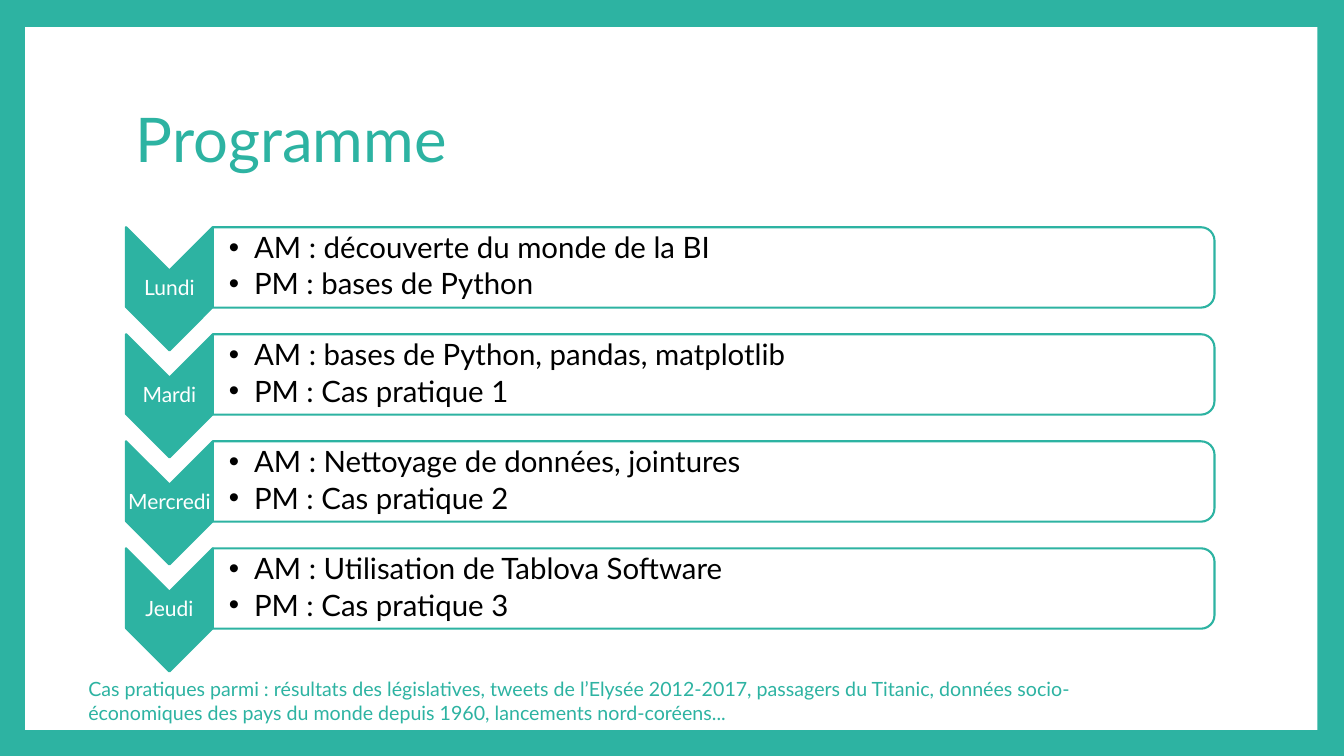
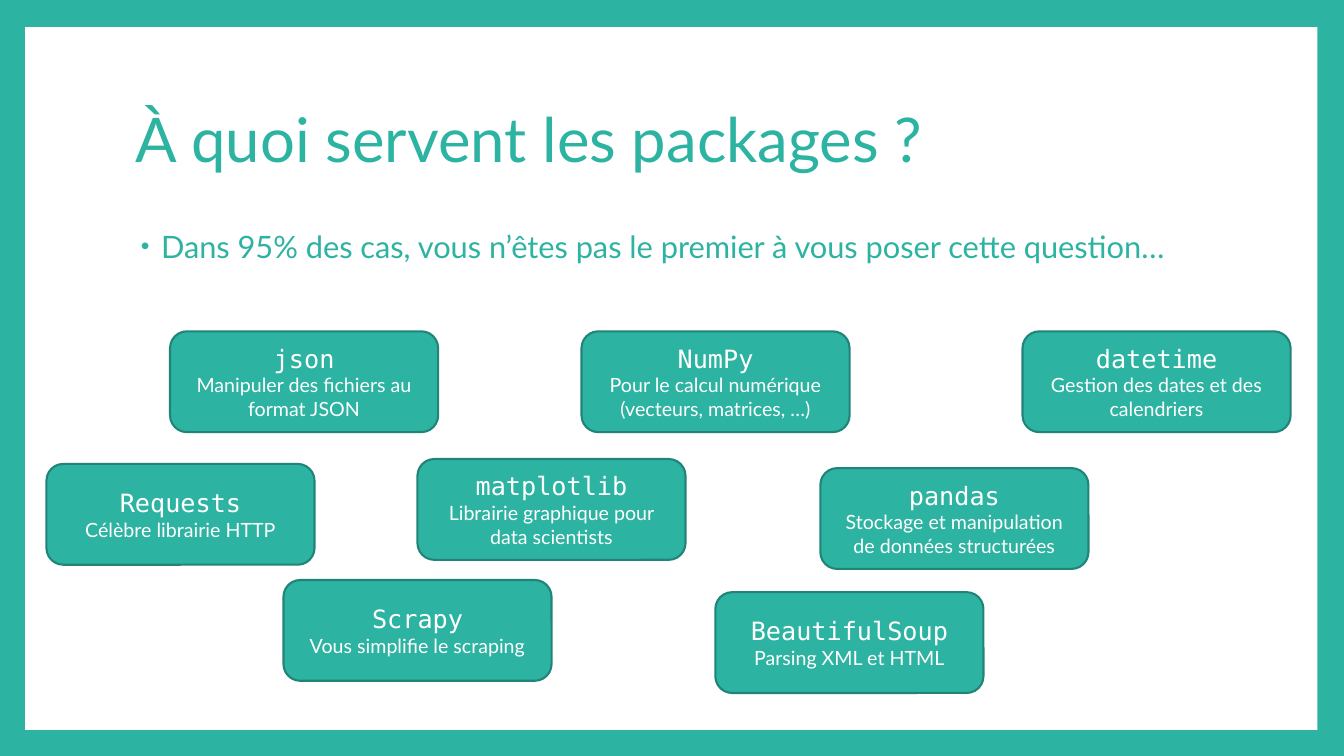
from lxml.etree import SubElement
from pptx import Presentation
from pptx.dml.color import RGBColor
from pptx.enum.shapes import MSO_SHAPE as Shape
from pptx.enum.text import MSO_ANCHOR as Anchor, PP_ALIGN as Align
from pptx.oxml.ns import qn
from pptx.util import Pt

TEAL, DARK_TEAL, WHITE, BLACK = "2DB3A2", "218478", "FFFFFF", "000000"
SANS, MONO = "Lato", "DejaVu Sans Mono"

PROGRAMME_TITLE = "Programme"
DAYS = [
    ("Lundi", ["AM : découverte du monde de la BI", "PM : bases de Python"]),
    ("Mardi", ["AM : bases de Python, pandas, matplotlib", "PM : Cas pratique 1"]),
    ("Mercredi", ["AM : Nettoyage de données, jointures", "PM : Cas pratique 2"]),
    ("Jeudi", ["AM : Utilisation de Tablova Software", "PM : Cas pratique 3"]),
]
CASES = (
    "Cas pratiques parmi : résultats des législatives, tweets de l’Elysée 2012-2017, "
    "passagers du Titanic, données socio-économiques des pays du monde depuis 1960, "
    "lancements nord-coréens..."
)

PACKAGES_TITLE = "À quoi servent les packages ?"
QUESTION = "Dans 95% des cas, vous n’êtes pas le premier à vous poser cette question…"
PACKAGES = [
    ("json", "Manipuler des fichiers au format JSON", 121.5, 236.7),
    ("NumPy", "Pour le calcul numérique (vecteurs, matrices, …)", 415.4, 236.7),
    ("datetime", "Gestion des dates et des calendriers", 730.4, 236.7),
    ("Requests", "Célèbre librairie HTTP", 33.2, 331.4),
    ("matplotlib", "Librairie graphique pour data scientists", 298.2, 327.9),
    ("pandas", "Stockage et manipulation de données structurées", 586, 334.4),
    ("Scrapy", "Vous simplifie le scraping", 202.5, 414.3),
    ("BeautifulSoup", "Parsing XML et HTML", 511, 423),
]

TITLE_STYLE = {"size": 44, "name": SANS, "color": TEAL}
QUESTION_STYLE = {"size": 22, "name": SANS, "color": TEAL}
CASES_STYLE = {"size": 14, "name": SANS, "color": TEAL}
DAY_STYLE = {"size": 15, "name": SANS, "color": WHITE}
SESSION_STYLE = {"size": 21, "name": SANS, "color": BLACK}
PACKAGE_STYLE = {"size": 18, "name": MONO, "color": WHITE}
PURPOSE_STYLE = {"size": 14, "name": SANS, "color": WHITE}

TIGHT = {"line_spacing": 0.9}
CENTERED = {"alignment": Align.CENTER}
DAY_PARA = {**TIGHT, **CENTERED}
SESSION_PARA = {**TIGHT, "space_after": Pt(3.15)}

DAY_LEFT, DAY_TOP, DAY_STEP = 90, 162.3, 76.45
DAY_WIDTH, DAY_HEIGHT = 62, 88
PANEL_WIDTH, PANEL_HEIGHT = 715.5, 57.4
CARD_WIDTH, CARD_HEIGHT = 191.5, 72


def rgb(value):
    return RGBColor.from_string(value)


def add_figure(page, kind, area, fill, line=None, rotation=0):
    figure = page.shapes.add_shape(kind, *map(Pt, area))
    figure.shadow.inherit = False
    figure.rotation = rotation
    figure.fill.solid()
    figure.fill.fore_color.rgb = rgb(fill)
    if line:
        figure.line.color.rgb = rgb(line)
        figure.line.width = Pt(1.5)
    else:
        figure.line.fill.background()
    return figure


def add_upright(page, kind, area, fill):
    left, top, width, height = area
    shift = (width - height) / 2
    turned = (left + shift, top - shift, height, width)
    return add_figure(page, kind, turned, fill, TEAL, 90)


def add_bullet(para, indent, hanging, color, percent):
    props = para._p.get_or_add_pPr()
    props.set("marL", str(Pt(indent)))
    props.set("indent", str(-Pt(hanging)))
    tint = SubElement(props, qn("a:buClr"))
    SubElement(tint, qn("a:srgbClr"), val=color)
    SubElement(props, qn("a:buSzPct"), val=str(percent * 1000))
    SubElement(props, qn("a:buFont"), typeface="Arial")
    SubElement(props, qn("a:buChar"), char="•")


def write(box, lines, layout, anchor=Anchor.MIDDLE, insets=None, bullet=None):
    frame = box.text_frame
    frame.word_wrap = True
    frame.vertical_anchor = anchor
    sides = ("margin_left", "margin_top", "margin_right", "margin_bottom")
    for side, inset in zip(sides, insets or ()):
        setattr(frame, side, Pt(inset))
    for index, (text, style) in enumerate(lines):
        para = frame.add_paragraph() if index else frame.paragraphs[0]
        if bullet:
            add_bullet(para, *bullet)
        for name, value in layout.items():
            setattr(para, name, value)
        span = para.add_run()
        span.text = text
        span.font.size = Pt(style["size"])
        span.font.name = style["name"]
        span.font.color.rgb = rgb(style["color"])


def add_text(page, area, lines, layout, **options):
    box = page.shapes.add_textbox(*map(Pt, area))
    write(box, lines, layout, **options)


def add_page(deck, title):
    page = deck.slides.add_slide(deck.slide_layouts[6])
    page.background.fill.solid()
    page.background.fill.fore_color.rgb = rgb(TEAL)
    add_figure(page, Shape.RECTANGLE, (18, 19.3, 923, 502), WHITE)
    add_text(page, (90, 48.2, 777.6, 106.6), [(title, TITLE_STYLE)], TIGHT)
    return page


def add_day(page, index, day, sessions):
    top = DAY_TOP + index * DAY_STEP
    right = DAY_LEFT + DAY_WIDTH
    add_upright(page, Shape.CHEVRON, (DAY_LEFT, top, DAY_WIDTH, DAY_HEIGHT), TEAL)
    add_text(page, (DAY_LEFT, top + 30.8, DAY_WIDTH, 26.5), [(day, DAY_STYLE)],
             DAY_PARA, insets=(0.7, 0.7, 0.7, 0.7))
    add_upright(page, Shape.ROUND_2_SAME_RECTANGLE,
                (right, top, PANEL_WIDTH, PANEL_HEIGHT), WHITE)
    add_text(page, (right, top + 2.8, PANEL_WIDTH - 2.8, PANEL_HEIGHT - 5.6),
             [(session, SESSION_STYLE) for session in sessions], SESSION_PARA,
             insets=(11.5, 0.7, 0.7, 0.7), bullet=(18, 18, BLACK, 100))


def main():
    deck = Presentation()
    deck.slide_width, deck.slide_height = Pt(960), Pt(540)

    programme = add_page(deck, PROGRAMME_TITLE)
    for index, (day, sessions) in enumerate(DAYS):
        add_day(programme, index, day, sessions)
    add_text(programme, (56, 480.2, 717, 41), [(CASES, CASES_STYLE)], {}, anchor=Anchor.TOP)

    packages = add_page(deck, PACKAGES_TITLE)
    add_text(packages, (90, 162, 777.6, 45.4), [(QUESTION, QUESTION_STYLE)], TIGHT,
             anchor=Anchor.TOP, bullet=(18, 14.4, TEAL, 80))
    for name, purpose, left, top in PACKAGES:
        card = add_figure(packages, Shape.ROUNDED_RECTANGLE,
                          (left, top, CARD_WIDTH, CARD_HEIGHT), TEAL, DARK_TEAL)
        write(card, [(name, PACKAGE_STYLE), (purpose, PURPOSE_STYLE)], CENTERED)

    deck.save("out.pptx")


if __name__ == "__main__":
    main()
